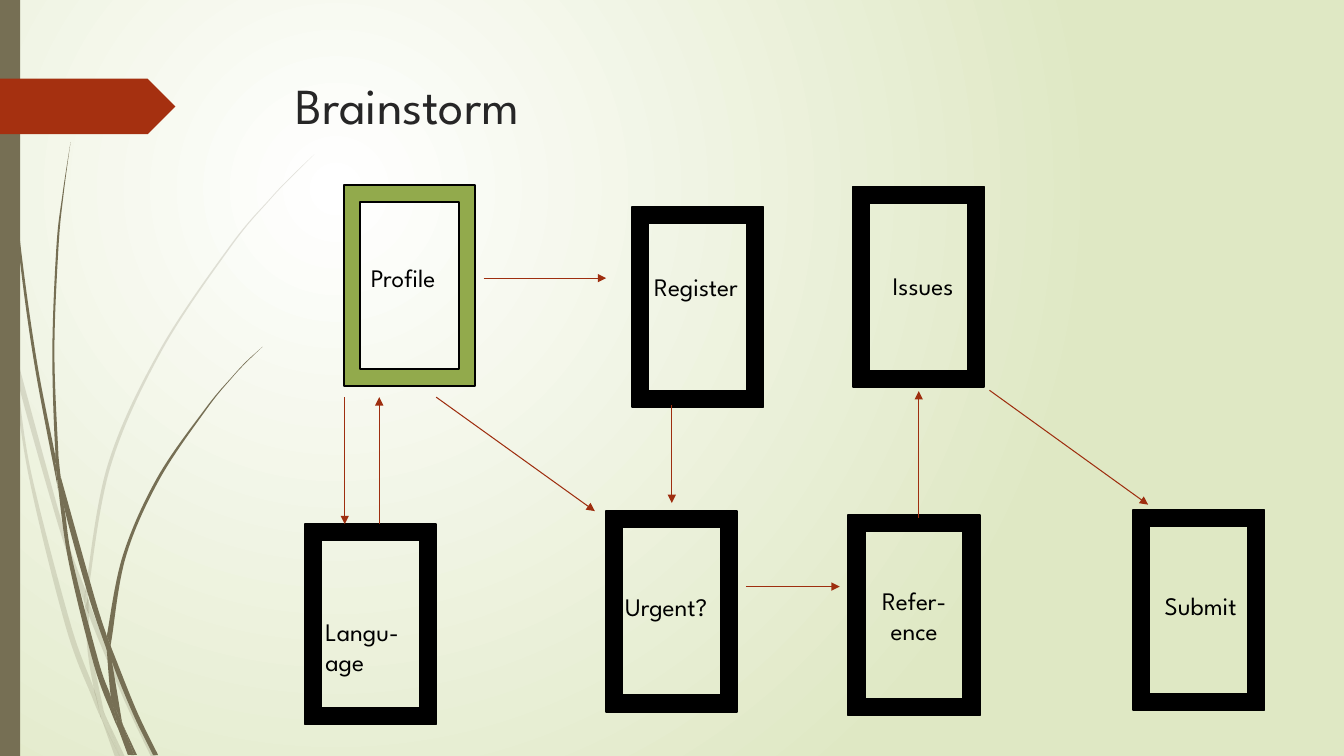
from typing import NamedTuple

from lxml import etree
from pptx import Presentation
from pptx.dml.color import RGBColor
from pptx.enum.shapes import MSO_CONNECTOR, MSO_SHAPE
from pptx.enum.text import MSO_ANCHOR, PP_ALIGN
from pptx.oxml.ns import qn
from pptx.util import Pt

STRAIGHT = MSO_CONNECTOR.STRAIGHT
FRAME, RECTANGLE, BANNER = MSO_SHAPE.FRAME, MSO_SHAPE.RECTANGLE, MSO_SHAPE.PENTAGON
LEFT, CENTER, TOP = PP_ALIGN.LEFT, PP_ALIGN.CENTER, MSO_ANCHOR.TOP

FONT = "League Spartan"
WHITE = RGBColor(0xFF, 0xFF, 0xFF)
PALE_GREEN = RGBColor(0xDF, 0xE8, 0xC4)
GREEN = RGBColor(0x92, 0xAA, 0x4C)
BROWN = RGBColor(0x76, 0x6F, 0x54)
RED = RGBColor(0xA5, 0x30, 0x10)
ARROW_RED = RGBColor(0x9E, 0x2E, 0x0F)
DARK_GRAY = RGBColor(0x26, 0x26, 0x26)
BLACK = RGBColor(0, 0, 0)

FRAME_WIDTH, FRAME_HEIGHT = 94, 143.3
Points = list[tuple[float, float]]


class Step(NamedTuple):
    label: str
    left: float
    top: float
    label_left: float
    label_top: float
    label_width: float
    align: PP_ALIGN = CENTER
    fill: RGBColor = BLACK


class Arrow(NamedTuple):
    start_x: float
    start_y: float
    end_x: float
    end_y: float


class Blade(NamedTuple):
    """A piece of grass: one edge going down, the other coming back up."""
    down: Points
    up: Points


STEPS = [
    Step("Profile", 245.5, 132.3, 257.8, 183.6, 69.1, LEFT, GREEN),
    Step("Register", 451.4, 147.6, 453.6, 190.1, 87.1),
    Step("Issues", 609.1, 133.2, 615.8, 189.4, 87.1),
    Step("Langu-age", 217.7, 374.2, 225.4, 436.8, 76.3, LEFT),
    Step("Urgent?", 432.7, 365.1, 439.2, 419, 73.4),
    Step("Refer-ence", 605.9, 367.7, 616.3, 414.7, 73.4),
    Step("Submit", 809.2, 364.1, 814.1, 418.3, 87.1),
]

ARROWS = [
    Arrow(345.5, 198.7, 433, 198.7),
    Arrow(311.6, 283.7, 424.9, 365.1),
    Arrow(479.9, 289.4, 479.9, 359.3),
    Arrow(246.3, 283.7, 246.3, 374.4),
    Arrow(270.9, 374.4, 270.9, 283.7),
    Arrow(532.8, 419, 599.8, 419),
    Arrow(656.3, 370.1, 656.3, 279.4),
    Arrow(706.8, 278.8, 820.1, 360.5),
]

PALE_BLADES = [
    Blade([(0, 203), (0, 215.3), (7.2, 247.7), (7.9, 252)], [(6.5, 231.8)]),
    Blade([(10.1, 248.4), (12.2, 270.7), (41.8, 375.8), (60.5, 431.3)],
          [(61.2, 421.9), (44.6, 374.4)]),
    Blade([(63.4, 429.1), (63.4, 439.2), (88.6, 499.7), (108, 540.7)],
          [(111.6, 540.7), (91.4, 498.2), (66.2, 437)]),
    Blade([(75.6, 511.9), (85.7, 540.7)], [(89.3, 540.7)]),
    Blade([(7.9, 252), (20.2, 338.4), (46.8, 447.1), (66.2, 499), (72.7, 514.1)],
          [(71.3, 509), (67, 491.8), (50.4, 445.7), (22.3, 337.7), (12.2, 270.7)]),
    Blade([(60.5, 431.3), (62.6, 465.1), (67, 491.8), (69.1, 498.2), (75.6, 511.9)],
          [(74.2, 508.3), (65.5, 465.1), (63.4, 439.2), (63.4, 437.8)]),
    Blade([(224.6, 110.2), (208.1, 126), (193, 141.8), (164.2, 175.7), (113.8, 250.6),
           (77, 331.9), (61.2, 420.5), (61.2, 421.9)],
          [(63.4, 429.1), (63.4, 420.5), (79.2, 332.6), (115.2, 251.3), (164.9, 176.4),
           (193, 142.6), (208.8, 126)]),
    Blade([(72.7, 514.1), (82.1, 540.7)], [(85.7, 540.7)]),
    Blade([(61.2, 421.9), (60.5, 431.3), (63.4, 437.8)], [(63.4, 429.1)]),
    Blade([(67, 491.8), (71.3, 509), (72.7, 514.1), (85.7, 540.7)],
          [(75.6, 511.9), (69.1, 498.2)]),
]

DARK_BLADES = [
    Blade([(2.2, 0), (2.9, 34.6), (5, 79.2), (12.2, 167.8), (23.8, 255.6), (40.3, 343.4),
           (41, 346.3)],
          [(39.6, 329), (39.6, 326.2), (25.9, 255.6), (13.7, 167), (5.8, 78.5), (3.6, 34.6),
           (2.9, 0)]),
    Blade([(43.2, 339.8), (46.1, 363.6), (63.4, 426.2), (76.3, 464.4)],
          [(76.3, 455.8), (76.3, 454.3), (67, 424.8)]),
    Blade([(79.2, 461.5), (79.9, 472.3), (95, 509.8), (109.4, 539.3)],
          [(113, 539.3), (97.9, 508.3), (81.4, 467.3)]),
    Blade([(41, 343.4), (49, 401), (67, 474.5), (79.9, 509.8), (84.2, 519.8)],
          [(83.5, 516.2), (79.2, 497.5), (70.6, 473), (51.8, 400.3), (46.1, 363.6)]),
    Blade([(50.4, 101.5), (44.6, 139), (40.3, 176.4), (37.4, 251.3), (39.6, 323.3),
           (43.2, 339.8)],
          [(41.8, 326.2), (38.9, 251.3), (41.8, 176.4), (45.4, 139)]),
    Blade([(87.8, 517.7), (95.8, 539.3)], [(97.9, 539.3)]),
    Blade([(39.6, 323.3), (39.6, 326.2), (41, 343.4), (46.1, 363.6)], [(43.2, 339.8)]),
    Blade([(187.6, 247.7), (176.4, 257.8), (166.3, 268.6), (146.9, 291.6), (112.3, 341.3),
           (87.8, 396.7), (76.3, 454.3)],
          [(79.2, 461.5), (79.9, 455.8), (90, 397.4), (113.8, 342.7), (147.6, 292.3),
           (166.3, 269.3), (176.4, 258.5)]),
    Blade([(84.2, 519.8), (91.4, 539.3)], [(94.3, 539.3)]),
    Blade([(76.3, 464.4), (79.2, 497.5), (83.5, 508.3), (87.8, 517.7)],
          [(87.1, 515.5), (79.9, 472.3), (78.5, 468.7)]),
    Blade([(76.3, 454.3), (76.3, 464.4), (79.9, 472.3)], [(79.2, 461.5)]),
    Blade([(79.2, 497.5), (83.5, 516.2), (84.2, 519.8), (93.6, 539.3)],
          [(95.8, 539.3), (87.8, 517.7), (83.5, 508.3)]),
]


def paint(shape, fill: RGBColor, line: RGBColor | None = None) -> None:
    shape.shadow.inherit = False
    shape.fill.solid()
    shape.fill.fore_color.rgb = fill
    if line is None:
        shape.line.fill.background()
    else:
        shape.line.color.rgb = line
        shape.line.width = Pt(1.25)


def curve_edges(shape, corner: int) -> None:
    """Turn straight segments into curves, except the one that ends at the corner."""
    nodes = [point.getparent() for point in shape._element.iter(qn("a:pt"))]
    points = [(int(node[0].get("x")), int(node[0].get("y"))) for node in nodes]
    for edge, edge_nodes in ((points[:corner], nodes[:corner]), (points[corner:], nodes[corner:])):
        padded = [edge[0], *edge, edge[-1]]
        for node, a, b, c, d in zip(edge_nodes[1:], padded, padded[1:], padded[2:], padded[3:]):
            node.tag = qn("a:cubicBezTo")
            first = [q + (r - p) // 6 for p, q, r in zip(a, b, c)]
            second = [q - (r - p) // 6 for p, q, r in zip(b, c, d)]
            for index, (x, y) in enumerate((first, second)):
                node.insert(index, node.makeelement(qn("a:pt"), {"x": str(x), "y": str(y)}))


def add_blade(slide, blade: Blade, opacity: int) -> None:
    outline = [(Pt(x), Pt(y)) for x, y in blade.down + blade.up + blade.down[:1]]
    builder = slide.shapes.build_freeform(*outline[0])
    builder.add_line_segments(outline[1:], close=True)
    shape = builder.convert_to_shape()
    curve_edges(shape, len(blade.down))
    paint(shape, BROWN)
    if opacity < 100:
        color = shape._element.spPr.find(f".//{qn('a:srgbClr')}")
        etree.SubElement(color, qn("a:alpha"), val=str(opacity * 1000))


def add_preset(slide, kind: MSO_SHAPE, left: float, top: float, width: float, height: float,
               fill: RGBColor, line: RGBColor | None = None) -> None:
    paint(slide.shapes.add_shape(kind, Pt(left), Pt(top), Pt(width), Pt(height)), fill, line)


def write(shape, text: str, size: float, color: RGBColor, align: PP_ALIGN) -> None:
    frame = shape.text_frame
    frame.text, frame.word_wrap, frame.vertical_anchor = text, True, TOP
    paragraph = frame.paragraphs[0]
    paragraph.alignment = align
    paragraph.font.name, paragraph.font.size = FONT, Pt(size)
    paragraph.font.color.rgb = color


def add_arrow(slide, arrow: Arrow) -> None:
    connector = slide.shapes.add_connector(STRAIGHT, *(Pt(value) for value in arrow))
    connector.line.color.rgb = ARROW_RED
    connector.line.width = Pt(0.75)
    etree.SubElement(connector.line._get_or_add_ln(), qn("a:tailEnd"), type="triangle")
    etree.SubElement(connector._element.spPr, qn("a:effectLst"))


presentation = Presentation()
presentation.slide_width, presentation.slide_height = Pt(960), Pt(540)
slide = presentation.slides.add_slide(presentation.slide_layouts[5])
# Background: a radial gradient centred in the upper left
background = slide.background.fill
background.gradient()
for stop, color, position in zip(background.gradient_stops, (WHITE, PALE_GREEN), (0, 1)):
    stop.color.rgb, stop.position = color, position
gradient = slide._element.find(f".//{qn('a:gradFill')}")
gradient.remove(gradient.find(qn("a:lin")))
circle = etree.SubElement(gradient, qn("a:path"), path="circle")
etree.SubElement(circle, qn("a:fillToRect"), l="50000", t="50000", r="100000", b="100000")
# Grass, side bar and banner
for blades, opacity in ((PALE_BLADES, 20), (DARK_BLADES, 100)):
    for blade in blades:
        add_blade(slide, blade, opacity)
add_preset(slide, RECTANGLE, 0, 0, 14.4, 540, BROWN)
add_preset(slide, BANNER, 0, 56.2, 125.3, 39.6, RED)
# Title
title = slide.shapes.title
title.left, title.top, title.width, title.height = Pt(204), Pt(49), Pt(702), Pt(100.8)
write(title, "Brainstorm", 36, DARK_GRAY, LEFT)
# Steps and the arrows between them
for step in STEPS:
    add_preset(slide, FRAME, step.left, step.top, FRAME_WIDTH, FRAME_HEIGHT, step.fill, BLACK)
    label = slide.shapes.add_textbox(
        Pt(step.label_left), Pt(step.label_top), Pt(step.label_width), Pt(29))
    write(label, step.label, 18, BLACK, step.align)
for arrow in ARROWS:
    add_arrow(slide, arrow)
presentation.save("out.pptx")
